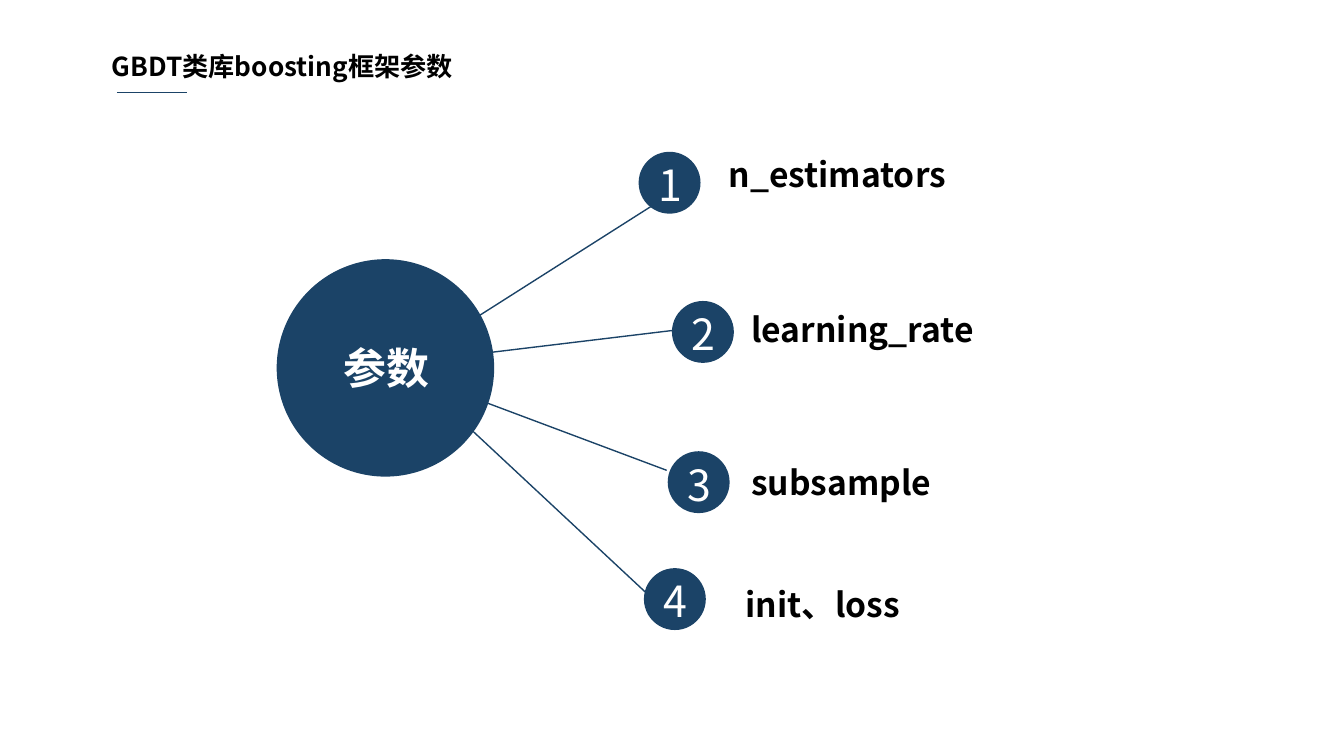
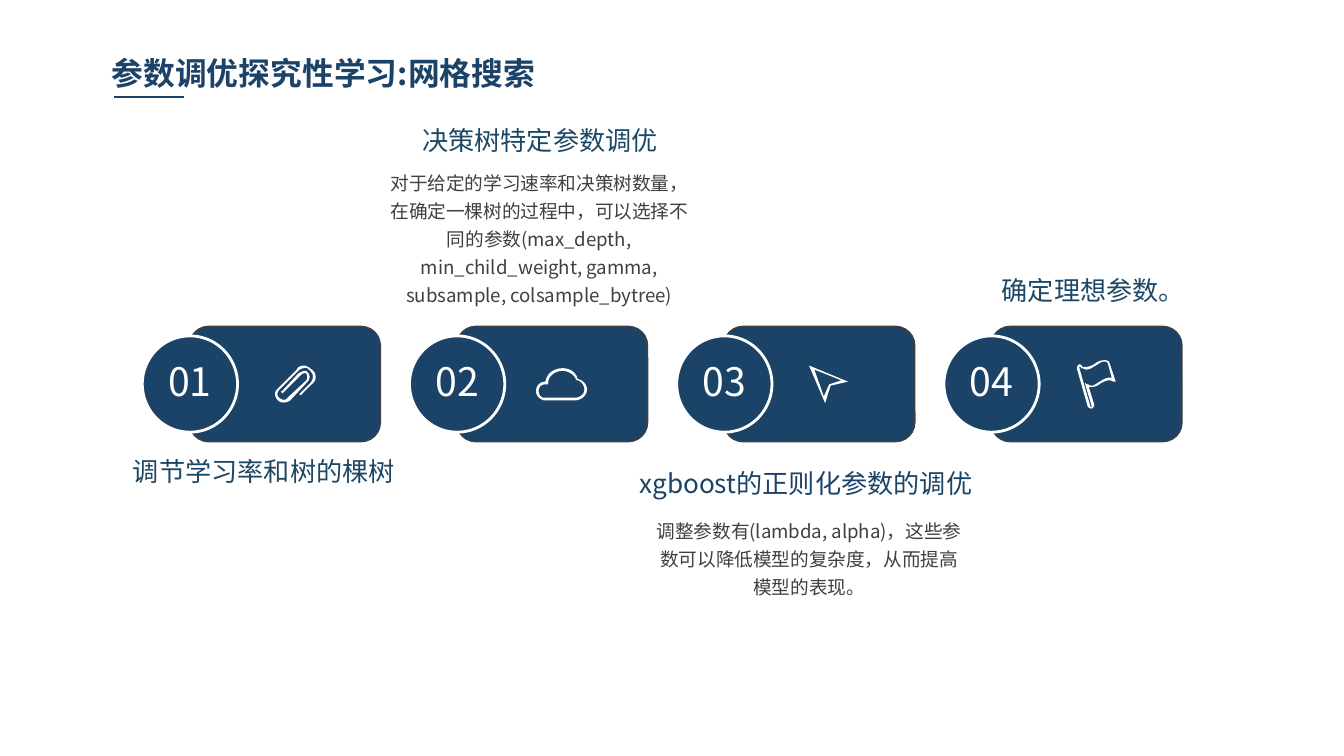
"""Build two slides on GBDT parameters and how to tune them."""
from typing import NamedTuple, Optional

from lxml import etree
from pptx import Presentation
from pptx import util as u
from pptx.dml import color
from pptx.enum import shapes, text
from pptx.oxml import ns

FONT = "Noto Sans CJK SC"
NAVY, TEAL, GREY = "1B4367", "1D4865", "404040"
WHITE, BLACK = "FFFFFF", "000000"
LEFT, MID, RIGHT = text.PP_ALIGN.LEFT, text.PP_ALIGN.CENTER, text.PP_ALIGN.RIGHT
OVAL = shapes.MSO_SHAPE.OVAL
CARD = shapes.MSO_SHAPE.ROUNDED_RECTANGLE
SLIM, WIDE = (0.18, 0.1), (0.25, 0.13)
UNIT = u.Cm(2.54) / 100
STEPS = 6


class Box(NamedTuple):
    """Place and size in centimetres."""
    x: float
    y: float
    w: float
    h: float


class Style(NamedTuple):
    """Look of a piece of text."""
    size: float
    tint: str
    bold: bool = False
    align: text.PP_ALIGN = LEFT
    lead: Optional[float] = None


class Spoke(NamedTuple):
    """Numbered parameter joined to the hub."""
    start: tuple[float, float]
    end: tuple[float, float]
    ball: tuple[float, float]
    label: Box
    name: str


class Icon(NamedTuple):
    """Corner of an icon and its outlines: two numbers a line, six a curve."""
    x: float
    y: float
    rings: tuple[str, ...]


class Note(NamedTuple):
    """Caption beside a card."""
    box: Box
    words: str
    style: Style
    wrap: bool = False


LABEL = Style(18, BLACK, True, lead=15)
DIGIT = Style(23, WHITE, align=MID)
HUB = Style(23, WHITE, True, MID)
STEP = Style(21, WHITE, align=MID)
HEAD = Style(14, TEAL, align=MID)
BODY = Style(10, GREY, align=MID, lead=15)

SPOKES = (
    Spoke((7.65, 6.86), (12.37, 3.86), (12.07, 2.87), Box(13.59, 3.05, 5.64, 0.74), "n_estimators"),
    Spoke((7.62, 6.86), (12.93, 6.22), (12.7, 5.69), Box(14.02, 5.97, 5.92, 0.74), "learning_rate"),
    Spoke((7.8, 7.09), (12.6, 8.89), (12.62, 8.53), Box(14.02, 8.86, 4.78, 0.74), "subsample"),
    Spoke((7.8, 7.09), (12.42, 11.4), (12.17, 10.74), Box(13.91, 11.18, 8.64, 0.74), "init、loss"),
)

CLIP = Icon(5.18, 6.91, (
    "28 3, 26 1 24 0 22 0, 19 0 17 2 17 3, 3 17, 0 19 0 23 3 26, 5 28 9 28 12 26, "
    "25 12, 27 10 27 7 25 5, 24 3 21 4 18 6, 6 19, 5 19 5 20 6 20, 6 21 6 21 7 20, "
    "20 7, 21 6 23 5 24 6, 25 7 25 10 24 11, 10 24, 9 26 6 26 4 24, 2 23 2 20 4 18, "
    "18 4, 18 4 20 2 22 2, 24 1 25 2 27 4, 28 5 29 7 29 8, 29 11 27 13 27 13, "
    "19 21, 19 22, 20 22, 28 14, 28 14 31 12 31 9, 31 6 30 4 28 3",))
CLOUD = Icon(10.13, 6.96, (
    "29 24, 6 24, 3 23 0 21 0 17, 0 13 3 10 7 10, 8 4 13 0 20 0, 25 0 30 3 31 8, "
    "35 9 38 12 38 16, 38 20 34 24 29 24",
    "6 22, 29 22, 33 22 36 19 36 16, 36 13 34 10 31 9, 30 9, 29 5 24 2 20 2, "
    "14 2 9 6 9 11, 9 12, 7 12, 4 12 2 14 2 17, 2 20 4 22 6 22"))
ARROW = Icon(15.29, 6.91, (
    "12 28, 0 0, 29 12, 16 15", "4 3, 11 23, 15 14, 24 11"))
FLAG = Icon(20.35, 6.81, (
    "11 36, 10 36 8 35 8 34, 0 6, 0 5 0 5 1 4, 1 4 1 3 2 3, 3 3 4 4 4 5, "
    "5 5 6 5 7 5, 9 5 11 4 13 3, 15 1 18 0 20 0, 21 0 23 0 24 1, 29 16, 27 16, "
    "26 15 25 15 24 15, 22 15 20 16 18 17, 16 19 13 20 11 20, 9 20, 13 33, "
    "13 34 13 35 12 35, 12 36 11 36 11 36",
    "2 5, 2 6, 10 34, 10 34 10 35 11 35, 11 34, 6 17, 8 18, 9 18 10 19 11 19, "
    "13 19 15 17 17 16, 19 15 21 13 24 13, 26 13, 23 2, 22 1 21 1 20 1, "
    "18 1 16 3 14 4, 12 5 10 7 7 7, 6 7 5 6 4 6, 3 6 3 6 3 5"))
ICONS = (CLIP, CLOUD, ARROW, FLAG)

NOTES = (
    Note(Box(2.31, 8.51, 5.36, 0.79), "调节学习率和树的棵树", HEAD),
    Note(Box(7.77, 2.26, 4.88, 0.79), "决策树特定参数调优", HEAD),
    Note(Box(7.04, 3.05, 6.3, 2.82),
         "对于给定的学习速率和决策树数量，在确定一棵树的过程中，可以选择不同的参数"
         "(max_depth, min_child_weight, gamma, subsample, colsample_bytree)", BODY, True),
    Note(Box(11.63, 8.74, 6.93, 0.79), "xgboost的正则化参数的调优",
         Style(14, NAVY, align=RIGHT)),
    Note(Box(12.14, 9.63, 6.3, 1.75),
         "调整参数有(lambda, alpha)，这些参数可以降低模型的复杂度，从而提高模型的表现。",
         BODY, True),
    Note(Box(18.72, 5.08, 3.89, 0.79), "确定理想参数。", HEAD),
)


def rgb(code: str) -> color.RGBColor:
    """Turn a hex string into a colour."""
    return color.RGBColor.from_string(code)


def cm(*sizes: float) -> list[u.Cm]:
    """Turn numbers into lengths."""
    return [u.Cm(size) for size in sizes]


def write(frame, words: str, style: Style) -> None:
    """Put one styled run into the first paragraph of a frame."""
    para = frame.paragraphs[0]
    para.alignment = style.align
    if style.lead:
        para.line_spacing = u.Pt(style.lead)
    run = para.add_run()
    run.text = words
    run.font.size = u.Pt(style.size)
    run.font.bold = style.bold
    run.font.color.rgb = rgb(style.tint)
    run.font.name = FONT
    etree.SubElement(run._r.get_or_add_rPr(), ns.qn("a:ea"), typeface=FONT)


def inset(frame, side: float, edge: float) -> None:
    """Set the margins of a text frame."""
    frame.margin_left = frame.margin_right = u.Cm(side)
    frame.margin_top = frame.margin_bottom = u.Cm(edge)


def label(slide, box: Box, words: str, style: Style,
          pad: tuple[float, float] = SLIM, wrap: bool = True) -> None:
    """Add a text box."""
    frame = slide.shapes.add_textbox(*cm(*box)).text_frame
    frame.word_wrap = wrap
    frame.auto_size = text.MSO_AUTO_SIZE.SHAPE_TO_FIT_TEXT
    inset(frame, *pad)
    write(frame, words, style)


def paint(shape, fill: str, edge: Optional[str] = None, width: float = 0.75) -> None:
    """Set fill and outline and drop the shadow."""
    shape.shadow.inherit = False
    shape.fill.solid()
    shape.fill.fore_color.rgb = rgb(fill)
    if edge:
        shape.line.color.rgb = rgb(edge)
        shape.line.width = u.Pt(width)
    else:
        shape.line.fill.background()


def line(slide, start: tuple[float, float], end: tuple[float, float]) -> None:
    """Draw a thin navy line."""
    link = slide.shapes.add_connector(
        shapes.MSO_CONNECTOR.STRAIGHT, *cm(*start, *end))
    link.line.color.rgb = rgb(NAVY)
    link.line.width = u.Pt(0.75)
    etree.SubElement(link._element.spPr, ns.qn("a:effectLst"))


def title(slide, box: Box, words: str, style: Style, rule: tuple[float, float]) -> None:
    """Add the slide title and the short rule below it."""
    label(slide, box, words, style)
    x, y = rule
    line(slide, rule, (x + 1.32, y))


def trace(ring: str) -> list[tuple[float, float]]:
    """Turn an outline into points, sampling its curves."""
    dots: list[tuple[float, float]] = []
    for part in ring.split(","):
        nums = [int(num) * UNIT for num in part.split()]
        pairs = list(zip(nums[::2], nums[1::2]))
        if len(pairs) == 1:
            dots += pairs
            continue
        knots = [dots[-1], *pairs]
        for step in range(1, STEPS + 1):
            t = step / STEPS
            mix = ((1 - t) ** 3, 3 * t * (1 - t) ** 2, 3 * t * t * (1 - t), t ** 3)
            dots.append((sum(m * k[0] for m, k in zip(mix, knots)),
                         sum(m * k[1] for m, k in zip(mix, knots))))
    return dots


def draw(slide, icon: Icon) -> None:
    """Draw a white icon from its outlines."""
    first, *rest = [trace(ring) for ring in icon.rings]
    pen = slide.shapes.build_freeform(*first[0])
    pen.add_line_segments(first[1:])
    for dots in rest:
        pen.move_to(*dots[0])
        pen.add_line_segments(dots[1:])
    paint(pen.convert_to_shape(*cm(icon.x, icon.y)), WHITE)


def params(slide) -> None:
    """Fill the slide with the hub and its parameters."""
    for spoke in SPOKES:
        line(slide, spoke.start, spoke.end)
    for num, spoke in enumerate(SPOKES, 1):
        x, y = spoke.ball
        paint(slide.shapes.add_shape(OVAL, *cm(x, y, 1.17, 1.17)), NAVY)
        label(slide, Box(x + 0.03, y, 1.14, 1.24), str(num), DIGIT, WIDE)
        label(slide, spoke.label, spoke.name, LABEL)
    paint(slide.shapes.add_shape(OVAL, *cm(5.23, 4.9, 4.11, 4.11)), NAVY)
    label(slide, Box(5.26, 6.32, 4.11, 1.24), "参数", HUB, WIDE)
    title(slide, Box(1.93, 0.86, 7.9, 0.79), "GBDT类库boosting框架参数",
          Style(14, BLACK, True), (2.21, 1.75))


def tuning(slide) -> None:
    """Fill the slide with the four tuning steps."""
    title(slide, Box(1.93, 0.91, 10.31, 0.91), "参数调优探究性学习:网格搜索",
          Style(17, NAVY, True), (2.16, 1.83))
    for num, icon in enumerate(ICONS):
        x = 2.69 + 5.05 * num
        card = slide.shapes.add_shape(CARD, *cm(x + 0.89, 6.17, 3.61, 2.18))
        paint(card, NAVY, GREY)
        disc = slide.shapes.add_shape(OVAL, *cm(x, 6.35, 1.8, 1.82))
        paint(disc, NAVY, WHITE, 1.5)
        frame = disc.text_frame
        frame.vertical_anchor = text.MSO_ANCHOR.MIDDLE
        inset(frame, 0, 0)
        write(frame, f"{num + 1:02}", STEP)
        frame.paragraphs[0].line_spacing = 0.9
        draw(slide, icon)
    for note in NOTES:
        label(slide, note.box, note.words, note.style, wrap=note.wrap)


def main() -> None:
    """Build and save the deck."""
    deck = Presentation()
    deck.slide_width, deck.slide_height = cm(25.4, 14.29)
    for fill in (params, tuning):
        fill(deck.slides.add_slide(deck.slide_layouts[6]))
    deck.save("out.pptx")


if __name__ == "__main__":
    main()
